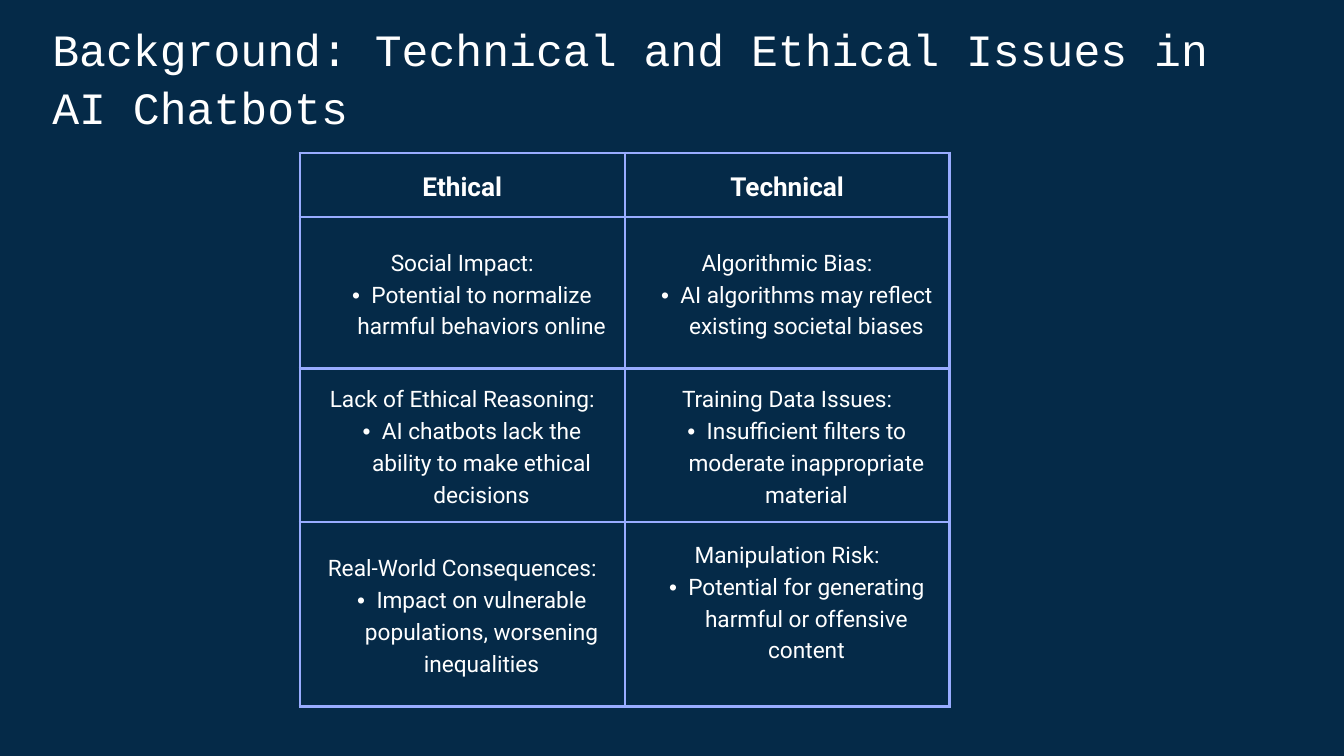
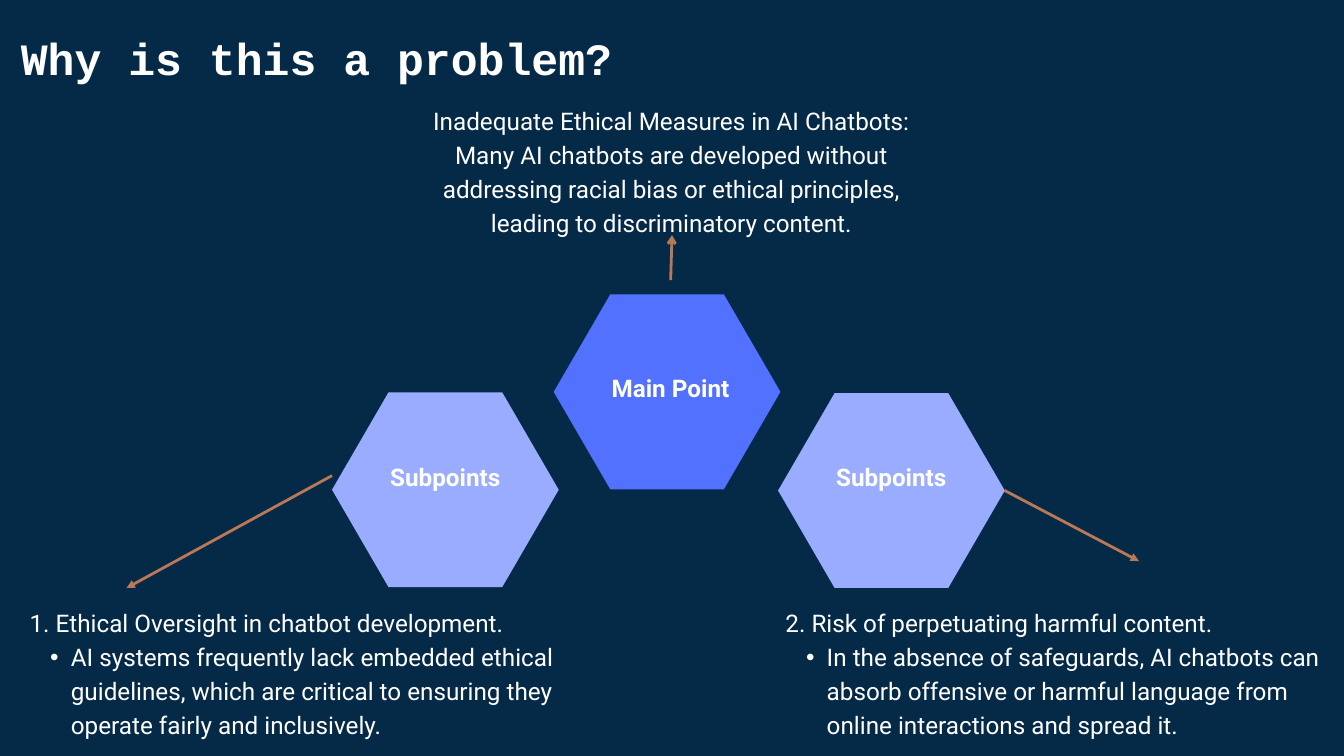
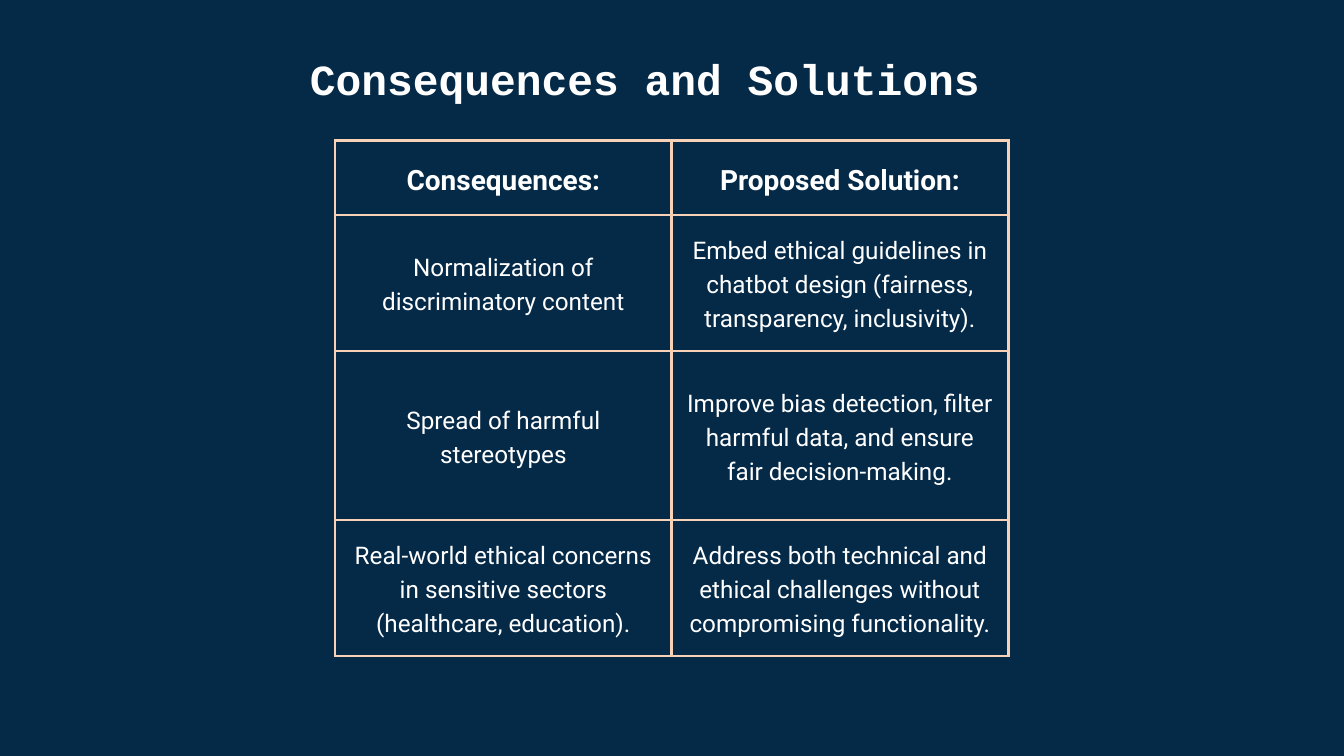
"""Builds three slides on ethical issues in AI chatbots."""
from dataclasses import dataclass

from lxml import etree
from pptx import Presentation
from pptx import util as u
from pptx.dml.color import RGBColor
from pptx.enum import shapes, text
from pptx.oxml import ns

Cm, Pt = u.Cm, u.Pt
LEFT, MID = text.PP_ALIGN.LEFT, text.PP_ALIGN.CENTER


@dataclass(frozen=True)
class Theme:
    back: str = "052A48"
    ink: str = "FFFFFF"
    blue: str = "5271FF"
    lilac: str = "99ACFF"
    peach: str = "F9D1B6"
    rust: str = "BA7857"
    mono: str = "Courier New"
    sans: str = "Roboto"
    title: float = 48
    body: float = 26
    lead: float = 1.4
    rule: float = 3


class Deck:
    """Holds the theme and the current slide, and draws each kind of element."""

    def __init__(self, theme):
        self.theme = theme
        self.prs = Presentation()
        self.prs.slide_width, self.prs.slide_height = Cm(50.8), Cm(28.58)
        self.slide = None

    def page(self):
        self.slide = self.prs.slides.add_slide(self.prs.slide_layouts[6])
        fill = self.slide.background.fill
        fill.solid()
        fill.fore_color.rgb = RGBColor.from_string(self.theme.back)

    def prose(self, frame, lines, size, font=None, bold=False, align=LEFT, lead=None, indent=None):
        """Sets lines; with an indent, every line after the first is a bullet."""
        frame.word_wrap = True
        for i, line in enumerate(lines):
            para = frame.paragraphs[0] if i == 0 else frame.add_paragraph()
            para.alignment = align
            para.line_spacing = Pt(round(size * (lead or self.theme.lead), 1))
            if i and indent:
                props = para._p.get_or_add_pPr()
                props.set("marL", str(Cm(indent)))
                props.set("indent", str(-Cm(indent / 2)))
                etree.SubElement(props, ns.qn("a:buFont"), typeface="Arial")
                etree.SubElement(props, ns.qn("a:buChar"), char="•")
            run = para.add_run()
            run.text = line
            run.font.size, run.font.bold = Pt(size), bold
            run.font.name = font or self.theme.sans
            run.font.color.rgb = RGBColor.from_string(self.theme.ink)

    def box(self, area, lines, size=None, **style):
        frame = self.slide.shapes.add_textbox(*map(Cm, area)).text_frame
        frame.margin_left = frame.margin_right = frame.margin_top = frame.margin_bottom = 0
        self.prose(frame, lines, size or self.theme.body, **style)

    def title(self, area, line, size=None, bold=True, lead=None):
        self.box(area, [line], size or self.theme.title, font=self.theme.mono, bold=bold, lead=lead)

    def hexa(self, left, top, color):
        shape = self.slide.shapes.add_shape(
            shapes.MSO_SHAPE.HEXAGON, Cm(left), Cm(top), Cm(8.57), Cm(7.37))
        shape.adjustments[0] = 0.29
        shape.shadow.inherit = False
        shape.fill.solid()
        shape.fill.fore_color.rgb = RGBColor.from_string(color)
        shape.line.fill.background()

    def arrow(self, start, end, head="triangle"):
        link = self.slide.shapes.add_connector(
            shapes.MSO_CONNECTOR.STRAIGHT, *map(Cm, start + end))
        link.line.width = Pt(self.theme.rule)
        link.line.color.rgb = RGBColor.from_string(self.theme.rust)
        props = link._element.spPr
        etree.SubElement(props.find(ns.qn("a:ln")), ns.qn("a:tailEnd"), type=head)
        etree.SubElement(props, ns.qn("a:effectLst"))

    def edge(self, cell, color, width):
        cell.fill.background()
        props = cell._tc.get_or_add_tcPr()
        for i, side in enumerate("LRTB"):
            line = etree.Element(ns.qn("a:ln" + side), w=str(Pt(width)))
            fill = etree.SubElement(line, ns.qn("a:solidFill"))
            etree.SubElement(fill, ns.qn("a:srgbClr"), val=color)
            props.insert(i, line)

    def table(self, left, top, col, tall, rows, color, head, size, pad, width, indent=None):
        grid = self.slide.shapes.add_table(
            len(rows), 2, Cm(left), Cm(top), Cm(2 * col), Cm(sum(tall))).table
        grid.first_row = grid.horz_banding = False
        for column in grid.columns:
            column.width = Cm(col)
        for r, (row, height) in enumerate(zip(rows, tall)):
            grid.rows[r].height = Cm(height)
            for c, lines in enumerate(row):
                cell = grid.cell(r, c)
                cell.margin_left = cell.margin_right = Cm(pad)
                cell.margin_top = cell.margin_bottom = Cm(pad)
                cell.vertical_anchor = text.MSO_ANCHOR.MIDDLE
                self.edge(cell, color, width)
                self.prose(cell.text_frame, lines, size if r else head,
                           bold=r == 0, align=MID, indent=indent)
        return grid


def issues(deck):
    deck.page()
    deck.title((1.98, 0.64, 45.97, 4.32),
               "Background: Technical and Ethical Issues in AI Chatbots", bold=False, lead=1.3)
    rows = [
        (["Ethical"], ["Technical"]),
        (["Social Impact:", "Potential to normalize harmful behaviors online"],
         ["Algorithmic Bias:", "AI algorithms may reflect existing societal biases"]),
        (["Lack of Ethical Reasoning:", "AI chatbots lack the ability to make ethical decisions"],
         ["Training Data Issues:", "Insufficient filters to moderate inappropriate material"]),
        (["Real-World Consequences:", "Impact on vulnerable populations, worsening inequalities"],
         ["Manipulation Risk:", "Potential for generating harmful or offensive content"]),
    ]
    grid = deck.table(11.33, 5.77, 12.28, (2.44, 5.72, 5.79, 6.99), rows, deck.theme.lilac,
                      head=28, size=24.3, pad=0.48, width=2.62, indent=1.46)
    grid.cell(3, 1).margin_bottom = Cm(1.48)


def problem(deck):
    theme = deck.theme
    deck.page()
    deck.title((0.79, 0.84, 47.96, 2.26), "Why is this a problem?")
    deck.box((15.67, 3.84, 19.43, 5.05), [
        "Inadequate Ethical Measures in AI Chatbots:",
        "Many AI chatbots are developed without addressing racial bias or ethical principles, "
        "leading to discriminatory content."], align=MID)
    deck.hexa(20.93, 11.13, theme.blue)
    deck.hexa(12.55, 14.83, theme.lilac)
    deck.hexa(29.41, 14.86, theme.lilac)
    for left, top, label in ((21.06, 13.94, "Main Point"), (12.55, 17.3, "Subpoints"),
                             (29.41, 17.3, "Subpoints")):
        deck.box((left, top, 8.57, 1.24), [label], bold=True, align=MID)
    points = (
        (1.12, 22.83, "1. Ethical Oversight in chatbot development.",
         "AI systems frequently lack embedded ethical guidelines, which are critical to "
         "ensuring they operate fairly and inclusively."),
        (29.69, 21.44, "2. Risk of perpetuating harmful content.",
         "In the absence of safeguards, AI chatbots can absorb offensive or harmful language "
         "from online interactions and spread it."),
    )
    for left, width, *lines in points:
        deck.box((left, 22.83, width, 5.05), lines, indent=1.56)
    deck.arrow((12.55, 17.98), (4.78, 22.23))
    deck.arrow((37.97, 18.54), (43.05, 21.21))
    deck.arrow((25.35, 10.59), (25.4, 8.89), head="arrow")


def answers(deck):
    deck.page()
    rows = [
        (["Consequences:"], ["Proposed Solution:"]),
        (["Normalization of discriminatory content"],
         ["Embed ethical guidelines in chatbot design (fairness, transparency, inclusivity)."]),
        (["Spread of harmful stereotypes"],
         ["Improve bias detection, filter harmful data, and ensure fair decision-making."]),
        (["Real-world ethical concerns in sensitive sectors (healthcare, education)."],
         ["Address both technical and ethical challenges without compromising functionality."]),
    ]
    deck.table(12.67, 5.31, 12.72, (2.82, 5.13, 6.4, 5.13), rows, deck.theme.peach,
               head=30, size=deck.theme.body, pad=0.53, width=deck.theme.rule)
    deck.title((11.71, 1.68, 27.41, 2.13), "Consequences and Solutions", size=46)


def main():
    deck = Deck(Theme())
    issues(deck)
    problem(deck)
    answers(deck)
    deck.prs.save("out.pptx")


if __name__ == "__main__":
    main()
